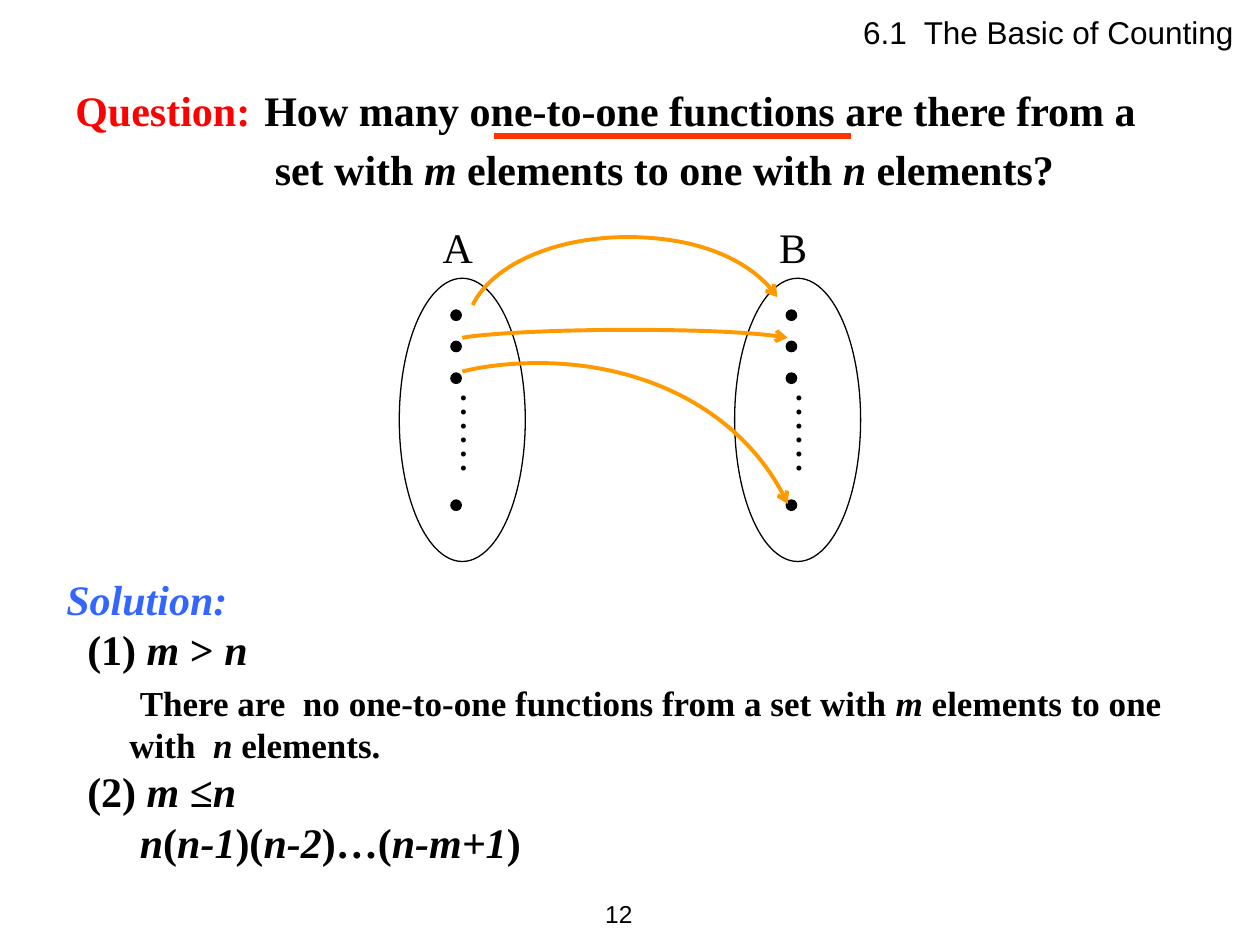
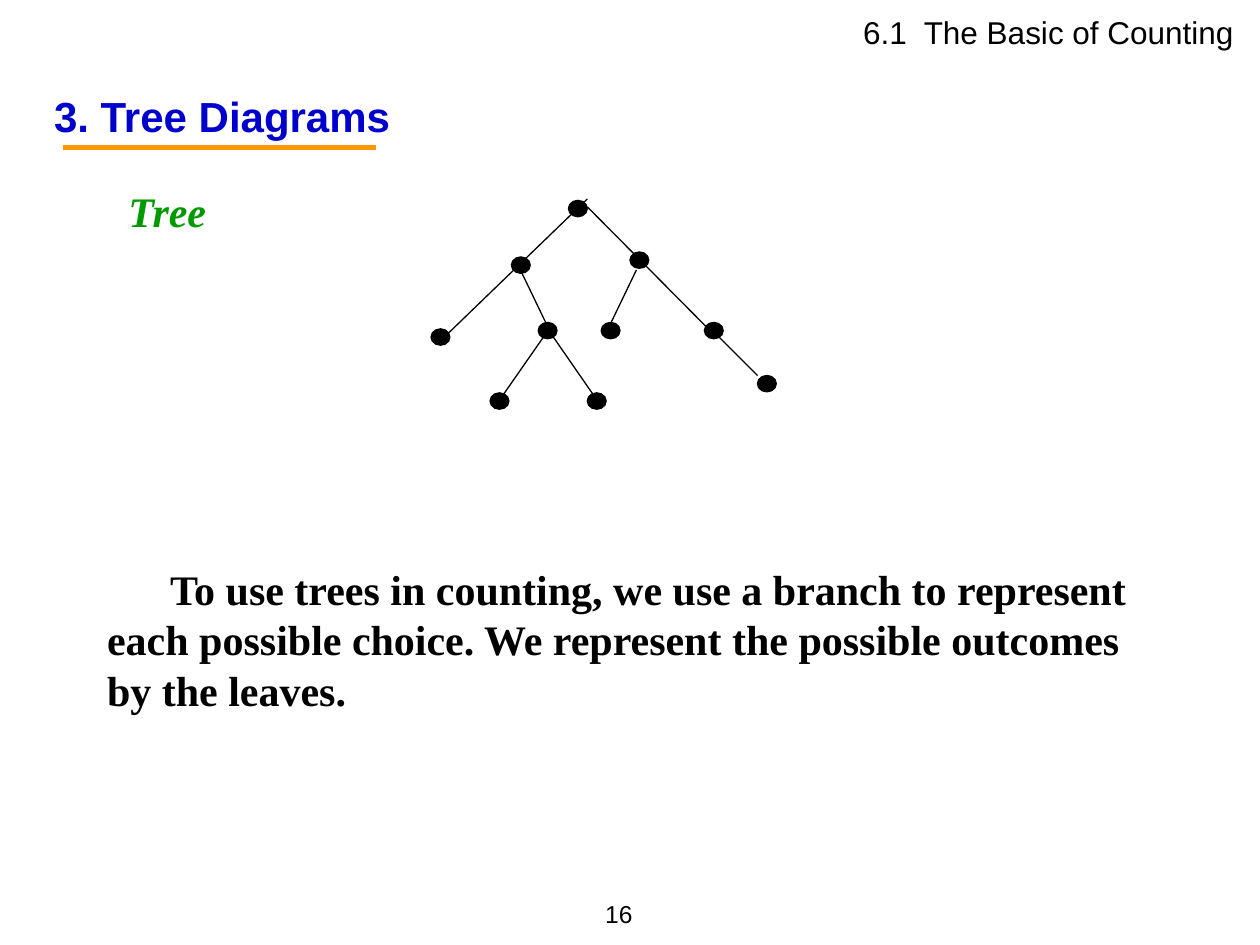
import pptx
import pptx.util
import pptx.dml.color
import pptx.enum.shapes
import pptx.enum.text
import pptx.oxml.ns
from lxml import etree

Cm, Pt = pptx.util.Cm, pptx.util.Pt
qn = pptx.oxml.ns.qn
ALIGN = pptx.enum.text.PP_ALIGN
OVAL = pptx.enum.shapes.MSO_SHAPE.OVAL
STRAIGHT = pptx.enum.shapes.MSO_CONNECTOR.STRAIGHT

# Shared look
BLACK, RED, ORANGE, BLUE, NAVY, GREEN = (
    "000000", "FF0000", "FF9900", "3366FF", "0000CC", "009900")
SERIF, SANS = "Times New Roman", "Arial"
THIN, CURVE, THICK = 0.75, 2.25, 3
HEADER = "6.1  The Basic of Counting"

# Content: a paragraph is its runs plus formats; *...* marks italics, lengths in cm
QUESTION = [
    dict(runs=[("Question:", RED),
               ("\tHow many one-to-one functions are there from a", BLACK)], tab=4.17),
    dict(runs=[("set with *m* elements to one with *n* elements?", BLACK)],
         left=4.02, before=5),
]
SOLUTION = [
    dict(runs=[("*Solution:*", BLUE)]),
    dict(runs=[("(1) *m *>* n*", BLACK)], left=0.42),
    dict(runs=[("There are  no one-to-one functions from a set with *m* elements "
                "to one with  *n* elements.", BLACK)],
         size=20, left=1.27, first=0.21, before=4.5),
    dict(runs=[("(2) *m *≤*n*", BLACK)], left=0.42),
    dict(runs=[("*n*(*n-1*)(*n-2*)…(*n-m+1*)", BLACK)], left=1.48),
]
BRANCH_RULE = [dict(runs=[(
    "To use trees in counting, we use a branch to represent each possible choice. "
    "We represent the possible outcomes by the leaves.", BLACK)], first=1.27)]

# Diagram of two sets
SETS = [("A", 8.05), ("B", 14.81)]
ELEMENT_TOPS = [6.25, 6.88, 7.52, 10.08]
ELEMENT_SIZE = 0.21
MAPPINGS = [  # tip, then Bezier points back to the element of A
    [(15.67, 5.99), (15.19, 5.26), (13.97, 4.78), (12.65, 4.78),
     (11.2, 4.78), (9.93, 5.33), (9.53, 6.15)],
    [(15.88, 6.81), (15.37, 6.71), (14.07, 6.65), (12.65, 6.65),
     (11.1, 6.65), (9.73, 6.73), (9.32, 6.81)],
    [(15.88, 10.16), (15.09, 8.43), (13.08, 7.32), (10.85, 7.32),
     (10.34, 7.32), (9.8, 7.37), (9.32, 7.49)],
]

# Tree diagram
NODE_SIZE = (0.38, 0.33)
NODES = [(11.46, 4.04), (10.31, 5.18), (12.7, 5.08), (8.69, 6.63), (10.85, 6.5),
         (14.2, 6.5), (12.12, 6.5), (9.88, 7.92), (11.84, 7.92), (15.27, 7.57)]
BRANCHES = [(11.84, 4.01, 8.89, 6.86), (11.84, 4.17, 14.3, 6.65),
            (10.49, 5.44, 11, 6.5), (12.83, 5.44, 12.32, 6.5),
            (11.07, 6.63, 10.08, 8.05), (11.02, 6.6, 12.01, 8.03),
            (14.3, 6.6, 15.27, 7.57)]


def rgb(color):
    return pptx.dml.color.RGBColor.from_string(color)


def set_line(sp, color, width):
    sp.line.color.rgb = rgb(color)
    sp.line.width = Pt(width)


def add_paragraph(p, runs, size=24, font=SERIF, bold=True, align=ALIGN.LEFT,
                  left=0, first=0, before=0, tab=None):
    formats = dict(alignment=align, space_before=Pt(before),
                   line_spacing=Pt(round(size * 1.2, 1)))
    for name, value in formats.items():
        setattr(p, name, value)
    pPr = p._p.get_or_add_pPr()
    pPr.set("marL", str(Cm(left)))
    pPr.set("indent", str(Cm(first)))
    if tab:
        stops = etree.SubElement(pPr, qn("a:tabLst"))
        etree.SubElement(stops, qn("a:tab"), pos=str(Cm(tab)), algn="l")
    for text, color in runs:
        for i, piece in enumerate(text.split("*")):
            if piece:
                r = p.add_run()
                r.text = piece
                r.font.color.rgb = rgb(color)
                for name, value in dict(name=font, size=Pt(size), bold=bold,
                                        italic=i % 2 == 1).items():
                    setattr(r.font, name, value)


def add_text(shapes, box, paragraphs):
    sp = shapes.add_textbox(*map(Cm, box))
    tf = sp.text_frame
    tf.word_wrap = True
    for i, paragraph in enumerate(paragraphs):
        add_paragraph(tf.add_paragraph() if i else tf.paragraphs[0], **paragraph)
    return tf


def add_label(shapes, box, text, color=BLACK, **formats):
    return add_text(shapes, box, [dict(runs=[(text, color)], **formats)])


def add_oval(shapes, box, fill=None):
    sp = shapes.add_shape(OVAL, *map(Cm, box))
    sp.shadow.inherit = False
    set_line(sp, BLACK, THIN)
    if fill:
        sp.fill.solid()
        sp.fill.fore_color.rgb = rgb(fill)
    else:
        sp.fill.background()


def add_line(shapes, ends, color, width):
    sp = shapes.add_connector(STRAIGHT, *map(Cm, ends))
    set_line(sp, color, width)
    etree.SubElement(sp._element.spPr, qn("a:effectLst"))


def add_curved_arrow(shapes, points):
    start, *rest = [(Cm(x), Cm(y)) for x, y in points]
    builder = shapes.build_freeform(*start)
    builder.add_line_segments(rest, close=False)
    sp = builder.convert_to_shape()
    sp.shadow.inherit = False
    sp.fill.background()
    set_line(sp, ORANGE, CURVE)
    etree.SubElement(sp.line._get_or_add_ln(), qn("a:headEnd"), type="arrow")
    # Every three straight segments become one Bezier segment
    outline = next(sp._element.iter(qn("a:path")))
    segments = outline.findall(qn("a:lnTo"))
    for i in range(0, len(segments), 3):
        bezier = etree.SubElement(outline, qn("a:cubicBezTo"))
        for segment in segments[i:i + 3]:
            bezier.append(segment[0])
            outline.remove(segment)


def add_set(s, name, left):
    shapes = s.shapes.add_group_shape().shapes
    plain = dict(bold=False, align=ALIGN.CENTER)
    add_oval(shapes, (left, 5.61, 2.54, 5.71))
    add_label(shapes, (left + 0.33, 4.34, 1.7, 1.27), name, **plain)
    for top in ELEMENT_TOPS:
        add_oval(shapes, (left + 1.04, top, ELEMENT_SIZE, ELEMENT_SIZE), BLACK)
    tf = add_label(shapes, (left + 0.71, 7.65, 1.52, 2.54), "……", **plain)
    tf._txBody.bodyPr.set("vert", "eaVert")


def new_slide(prs, number):
    s = prs.slides.add_slide(prs.slide_layouts[6])
    add_label(s.shapes, (17.15, 0.13, 8.25, 1.02), HEADER,
              size=18, font=SANS, bold=False)
    tf = add_label(s.shapes, (11.3, 17.78, 1.7, 1.27), str(number),
                   size=14, font=SANS, bold=False, align=ALIGN.RIGHT)
    tf.vertical_anchor = pptx.enum.text.MSO_ANCHOR.MIDDLE
    return s


def build_functions_slide(prs):
    s = new_slide(prs, 12)
    add_text(s.shapes, (1.27, 1.57, 23.06, 2.49), QUESTION)
    add_line(s.shapes, (9.96, 2.74, 17.15, 2.74), "FF3300", THICK)
    for name, left in SETS:
        add_set(s, name, left)
    for points in MAPPINGS:
        add_curved_arrow(s.shapes, points)
    add_text(s.shapes, (1.09, 11.43, 23.01, 6.25), SOLUTION)


def build_tree_slide(prs):
    s = new_slide(prs, 16)
    add_label(s.shapes, (0.84, 1.7, 22.43, 1.27), "3. Tree Diagrams", NAVY, font=SANS)
    add_line(s.shapes, (1.27, 2.97, 7.57, 2.97), ORANGE, THICK)
    add_label(s.shapes, (2.34, 3.61, 11.43, 1.27), "*Tree*", GREEN)
    tree = s.shapes.add_group_shape().shapes
    for node in NODES:
        add_oval(tree, node + NODE_SIZE, BLACK)
    for branch in BRANCHES:
        add_line(tree, branch, BLACK, THIN)
    add_text(s.shapes, (1.91, 11.23, 21.39, 3.3), BRANCH_RULE)


def main():
    prs = pptx.Presentation()
    prs.slide_width, prs.slide_height = Cm(25.4), Cm(19.05)
    build_functions_slide(prs)
    build_tree_slide(prs)
    prs.save("out.pptx")


if __name__ == "__main__":
    main()
